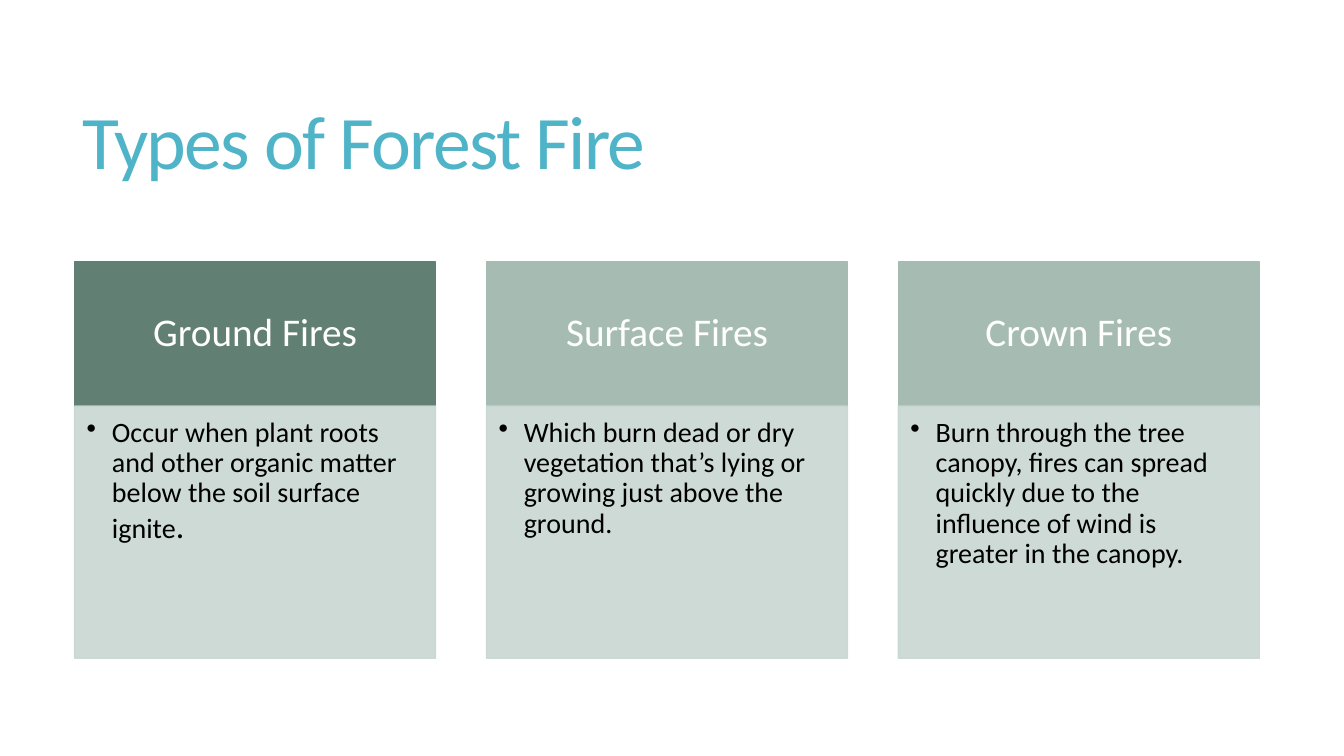
from dataclasses import dataclass

from lxml.etree import SubElement
from pptx import Presentation
from pptx.dml.color import RGBColor
from pptx.enum.shapes import MSO_SHAPE
from pptx.enum.text import MSO_ANCHOR, PP_ALIGN
from pptx.oxml.ns import qn
from pptx.util import Pt

EMU_PER_PX = 9144  # 100 px to the inch


@dataclass(frozen=True)
class Theme:
    font: str = "Calibri"
    title_color: str = "50B4C8"
    active_header: str = "627F74"
    header: str = "A6BCB3"
    body: str = "C8D7D1"
    body_opacity: int = 90
    header_text: str = "FFFFFF"
    body_text: str = "000000"
    title_size: int = 54
    header_size: int = 28
    body_size: int = 20
    large_stop_size: int = 24


THEME = Theme()

SLIDE_SIZE = (1333, 750)
TITLE_BOX = (72, 55, 1178, 181)
CARDS_LEFT, CARDS_RIGHT, CARDS_TOP = 74, 1249, 260
CARD_WIDTH, HEADER_HEIGHT, BODY_HEIGHT = 358, 143, 250
HEADER_INSETS = (22, 12, 22, 12)
BODY_INSETS = (12, 12, 16, 17)
BULLET_INDENT = 25

# Heading, header colour, runs of the description with their sizes
FIRE_TYPES = [
    ("Ground Fires", THEME.active_header, [
        ("Occur when plant roots and other organic matter below the soil "
         "surface ignite", THEME.body_size),
        (".", THEME.large_stop_size),
    ]),
    ("Surface Fires", THEME.header, [
        ("Which burn dead or dry vegetation that’s lying or growing just "
         "above the ground.", THEME.body_size),
    ]),
    ("Crown Fires", THEME.header, [
        ("Burn through the tree canopy, fires can spread quickly due to the "
         "influence of wind is greater in the canopy.", THEME.body_size),
    ]),
]


def px(length):
    return round(length * EMU_PER_PX)


def style_font(font, size, color):
    font.name = THEME.font
    font.size = Pt(size)
    font.color.rgb = RGBColor.from_string(color)


def set_frame(text_frame, insets, anchor):
    text_frame.word_wrap = True
    text_frame.vertical_anchor = anchor
    (text_frame.margin_left, text_frame.margin_top,
     text_frame.margin_right, text_frame.margin_bottom) = map(px, insets)


def set_opacity(shape, percent):
    """Make both the fill and the outline of the shape translucent."""
    for color in shape._element.spPr.iter(qn("a:srgbClr")):
        SubElement(color, qn("a:alpha")).set("val", str(percent * 1000))


def add_bullet(paragraph):
    properties = paragraph._p.get_or_add_pPr()
    properties.set("marL", str(px(BULLET_INDENT)))
    properties.set("indent", str(-px(BULLET_INDENT)))
    SubElement(properties, qn("a:buChar")).set("char", "•")


def add_panel(slide, box, color):
    panel = slide.shapes.add_shape(MSO_SHAPE.RECTANGLE, *map(px, box))
    panel.shadow.inherit = False
    panel.fill.solid()
    panel.fill.fore_color.rgb = RGBColor.from_string(color)
    panel.line.color.rgb = RGBColor.from_string(color)
    panel.line.width = Pt(1)
    return panel


def add_title(slide, text):
    text_frame = slide.shapes.add_textbox(*map(px, TITLE_BOX)).text_frame
    set_frame(text_frame, (10, 5, 10, 5), MSO_ANCHOR.MIDDLE)
    paragraph = text_frame.paragraphs[0]
    paragraph.text = text
    paragraph.line_spacing = 0.85
    run = paragraph.runs[0]
    style_font(run.font, THEME.title_size, THEME.title_color)
    run._r.get_or_add_rPr().set("spc", "-120")


def add_card_header(slide, left, heading, color):
    box = (left, CARDS_TOP, CARD_WIDTH, HEADER_HEIGHT)
    text_frame = add_panel(slide, box, color).text_frame
    set_frame(text_frame, HEADER_INSETS, MSO_ANCHOR.MIDDLE)
    paragraph = text_frame.paragraphs[0]
    paragraph.text = heading
    paragraph.alignment = PP_ALIGN.CENTER
    paragraph.line_spacing = 0.9
    style_font(paragraph.runs[0].font, THEME.header_size, THEME.header_text)


def add_card_body(slide, left, parts):
    box = (left, CARDS_TOP + HEADER_HEIGHT, CARD_WIDTH, BODY_HEIGHT)
    panel = add_panel(slide, box, THEME.body)
    set_opacity(panel, THEME.body_opacity)
    set_frame(panel.text_frame, BODY_INSETS, MSO_ANCHOR.TOP)
    paragraph = panel.text_frame.paragraphs[0]
    add_bullet(paragraph)
    paragraph.alignment = PP_ALIGN.LEFT
    paragraph.line_spacing = 0.9
    for text, size in parts:
        run = paragraph.add_run()
        run.text = text
        style_font(run.font, size, THEME.body_text)


def main():
    presentation = Presentation()
    presentation.slide_width, presentation.slide_height = map(px, SLIDE_SIZE)
    slide = presentation.slides.add_slide(presentation.slide_layouts[6])

    add_title(slide, "Types of Forest Fire")
    pitch = (CARDS_RIGHT - CARDS_LEFT - CARD_WIDTH) / (len(FIRE_TYPES) - 1)
    for index, (heading, color, parts) in enumerate(FIRE_TYPES):
        left = CARDS_LEFT + index * pitch
        add_card_header(slide, left, heading, color)
        add_card_body(slide, left, parts)

    presentation.save("out.pptx")


if __name__ == "__main__":
    main()
